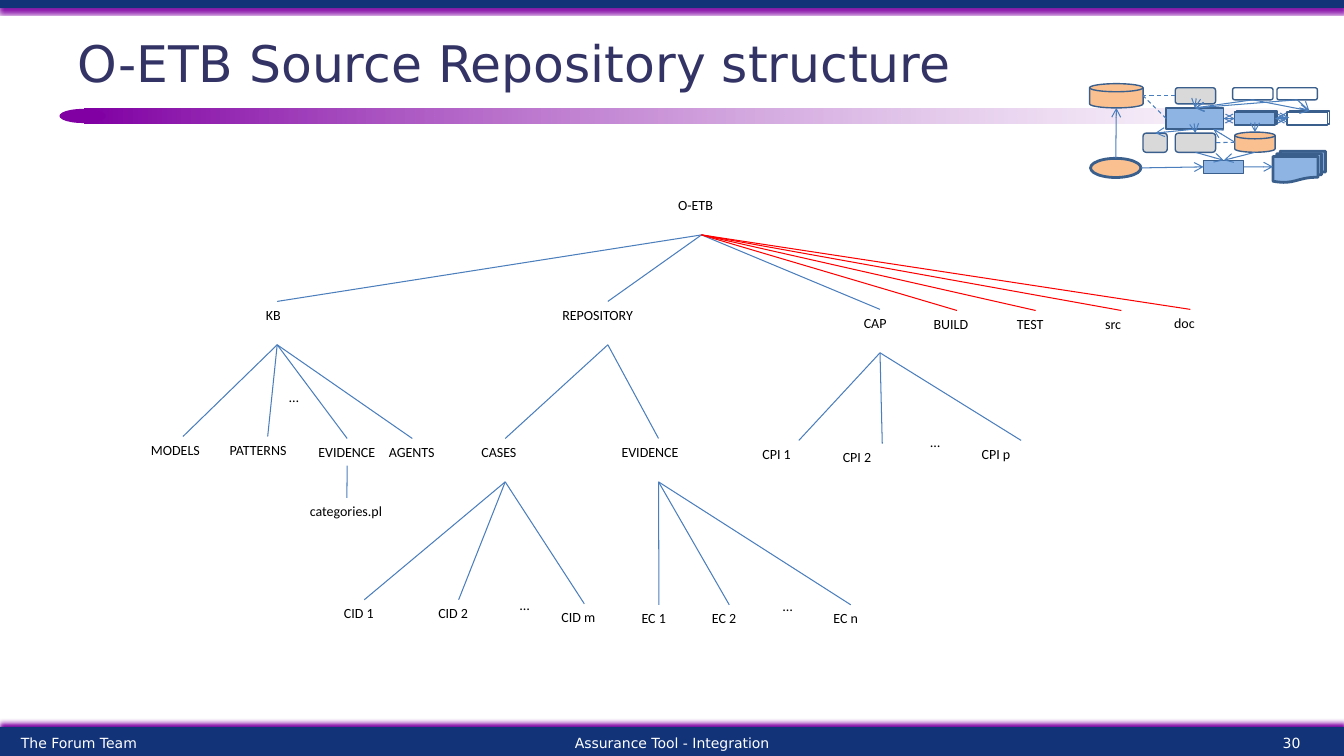
from dataclasses import dataclass

from lxml import etree
from pptx import Presentation
from pptx.dml.color import RGBColor
from pptx.enum.dml import MSO_LINE
from pptx.enum.shapes import MSO_CONNECTOR, MSO_SHAPE
from pptx.enum.text import MSO_ANCHOR, PP_ALIGN
from pptx.oxml.ns import qn
from pptx.util import Pt

RECT, ROUND, OVAL = MSO_SHAPE.RECTANGLE, MSO_SHAPE.ROUNDED_RECTANGLE, MSO_SHAPE.OVAL
PROCESS, DISK = MSO_SHAPE.FLOWCHART_PROCESS, MSO_SHAPE.FLOWCHART_MAGNETIC_DISK
DOCS = MSO_SHAPE.FLOWCHART_MULTIDOCUMENT
LEFT, CENTER, RIGHT = PP_ALIGN.LEFT, PP_ALIGN.CENTER, PP_ALIGN.RIGHT
TOP, MIDDLE = MSO_ANCHOR.TOP, MSO_ANCHOR.MIDDLE
STRAIGHT, DASH = MSO_CONNECTOR.STRAIGHT, MSO_LINE.DASH


@dataclass(frozen=True)
class Theme:
    navy: str = "123378"
    purple: str = "8100A4"
    title: str = "333366"
    white: str = "FFFFFF"
    black: str = "000000"
    line: str = "4B7EBC"
    outline: str = "3A5F8C"
    red: str = "FF0000"
    blue: str = "8EB4E3"
    orange: str = "FAC090"
    grey: str = "D9D9D9"
    heading_font: str = "DejaVu Sans"
    tree_font: str = "Calibri"
    title_size: int = 36
    small_size: int = 10
    line_width: float = 0.75


T = Theme()


def rgb(value):
    return RGBColor.from_string(value)


def add_shape(s, kind, box, fill=None, outline=None, width=1):
    sp = s.shapes.add_shape(kind, *map(Pt, box))
    sp.shadow.inherit = False
    if fill:
        sp.fill.solid()
        sp.fill.fore_color.rgb = rgb(fill)
    else:
        sp.fill.background()
    if outline:
        sp.line.color.rgb = rgb(outline)
        sp.line.width = Pt(width)
    else:
        sp.line.fill.background()
    return sp


def add_text(s, text, box, font, size, color, align=LEFT, anchor=MIDDLE, right=7.2):
    tf = s.shapes.add_textbox(*map(Pt, box)).text_frame
    tf.word_wrap = True
    tf.vertical_anchor = anchor
    tf.margin_right = Pt(right)
    p = tf.paragraphs[0]
    p.text = text
    p.alignment = align
    p.font.name, p.font.size, p.font.color.rgb = font, Pt(size), rgb(color)


def add_line(s, start, end, color=T.line, heads=(), dash=False):
    c = s.shapes.add_connector(STRAIGHT, *map(Pt, (*start, *end)))
    c.line.color.rgb = rgb(color)
    c.line.width = Pt(T.line_width)
    if dash:
        c.line.dash_style = DASH
    ln = c.line._get_or_add_ln()
    for head in heads:
        etree.SubElement(ln, qn(f"a:{head}"), type="arrow")
    etree.SubElement(c._element.spPr, qn("a:effectLst"))


def add_glow(sp, blur, distance, degrees):
    effects = sp._element.spPr.find(qn("a:effectLst"))
    shadow = etree.SubElement(effects, qn("a:outerShdw"), blurRad=str(Pt(blur)),
                              dist=str(Pt(distance)), dir=str(degrees * 60000))
    etree.SubElement(shadow, qn("a:srgbClr"), val=T.purple)


def header(s, x, y, w, h):
    # Top band and title
    add_glow(add_shape(s, RECT, (x, y, w, 5.8), T.navy), 3, 2, 90)
    add_text(s, "O-ETB Source Repository structure", (x + 48, y + 10.8, 816, 67.7),
             T.heading_font, T.title_size, T.title)
    # Fading rule with a rounded start
    rule_top = y + h - 10.1
    rule = add_shape(s, ROUND, (x + 60.5, rule_top, 888.5, 10.1), T.purple)
    rule.adjustments[0] = 0.02
    rule.fill.gradient()
    rule.fill.gradient_angle = 0
    for stop, color in zip(rule.fill.gradient_stops, (T.purple, T.white)):
        stop.color.rgb = rgb(color)
    end_color = rule._element.spPr.findall(".//" + qn("a:gs"))[-1][0]
    etree.SubElement(end_color, qn("a:alpha"), val="50000")
    add_shape(s, OVAL, (x + 42.5, rule_top, 33.1, 10.1), T.purple)


def footer(s, x, y, w, h):
    add_glow(add_shape(s, RECT, (x, y, w, h), T.navy), 3, 3, 270)
    for text, left, width, align in (("The Forum Team", 7.9, 224, LEFT),
                                     ("Assurance Tool - Integration", 240, 480, CENTER),
                                     ("30", 823.7, 112.3, RIGHT)):
        add_text(s, text, (x + left, y + 2.2, width, 18.7),
                 T.heading_font, T.small_size, T.white, align)


def overview(s, x, y):
    # Miniature architecture: name -> kind, left, top, width, height, fill, line width
    parts = {
        "store": (DISK, 0, 0, 38.2, 17.3, T.orange, 1),
        "cases": (DISK, 103.7, 34.6, 28.8, 14.4, T.orange, 1),
        "core": (PROCESS, 54.7, 17.3, 41, 15.1, T.blue, 1),
        "lower": (ROUND, 61.2, 35.3, 28.8, 13.7, T.grey, 1),
        "upper": (ROUND, 61.2, 2.9, 28.8, 11.5, T.grey, 1),
        "client1": (ROUND, 102.2, 2.9, 28.8, 8.6, None, 1),
        "client2": (ROUND, 133.9, 2.9, 28.8, 8.6, None, 1),
        "mid_back": (RECT, 105.1, 19.4, 28.8, 9.4, T.blue, 1),
        "mid": (PROCESS, 103.7, 20.2, 28.8, 9.4, T.blue, 1),
        "end_back": (RECT, 142.6, 19.4, 28.8, 9.4, None, 1),
        "end": (PROCESS, 141.1, 20.2, 28.8, 9.4, T.white, 1),
        "side": (ROUND, 38.2, 35.3, 17.3, 13.7, T.grey, 1),
        "out": (RECT, 81.4, 54.7, 28.8, 9.4, T.blue, 1),
        "docs": (DOCS, 131, 48.2, 37.4, 22.3, T.blue, 2),
        "user": (OVAL, 0.7, 53.3, 36, 13.7, T.orange, 2),
    }
    for kind, left, top, w, h, fill, width in parts.values():
        add_shape(s, kind, (x + left, y + top, w, h), fill, T.outline, width)

    sides = {"l": (0, 0.5), "r": (1, 0.5), "t": (0.5, 0), "b": (0.5, 1), "b+": (0.82, 1)}

    def site(place):
        name, side = place.split(".")
        left, top, w, h = parts[name][1:5]
        fx, fy = sides[side]
        return x + left + fx * w, y + top + fy * h

    # Links between sides of the parts
    one_way = ("upper.b core.t", "core.b lower.t", "mid.b cases.t", "core.b side.t",
               "client1.b end_back.t", "client2.b end_back.t", "client1.b core.t",
               "client2.b core.t", "out.r docs.l", "lower.b out.t", "cases.b out.t",
               "user.t store.b", "user.r out.l", "cases.l core.b+")
    two_way = ("mid_back.r end_back.l", "core.r mid.l", "mid.r end.l")
    dashed = ("upper.l store.r", "cases.l lower.r", "core.l store.r")
    for links, heads in ((one_way, ("tailEnd",)), (two_way, ("headEnd", "tailEnd")),
                         (dashed, ())):
        for link in links:
            start, end = map(site, link.split())
            add_line(s, start, end, heads=heads, dash=not heads)


# Tree node: label, centre, top, width, children
KB = ("KB", 98, 79.3, 30.2, [
    ("MODELS", 30.7, 175.8, 59.8, []),
    ("PATTERNS", 91.2, 175.8, 68.4, []),
    ("…", 113.8, 138.3, 28.8, []),
    ("EVIDENCE", 148, 177.2, 55.4, [("categories.pl", 147.8, 219.7, 67, [])]),
    ("AGENTS", 194.5, 177.2, 47.5, [])])
REPOSITORY = ("REPOSITORY", 334.2, 79.3, 79.2, [
    ("CASES", 260.9, 177.2, 48.2, [
        ("CID 1", 160.2, 292.4, 43.2, []),
        ("CID 2", 227.6, 292.4, 43.2, []),
        ("…", 278.7, 286.6, 28.8, []),
        ("CID m", 317.4, 295.3, 46.8, [])]),
    ("EVIDENCE", 370.4, 177.2, 67, [
        ("EC 1", 370.7, 296, 38.9, []),
        ("EC 2", 420.9, 296, 38.9, []),
        ("…", 466.6, 287.4, 28.8, []),
        ("EC n", 507.7, 296, 38.9, [])])])
CAP = ("CAP", 528.6, 85, 37.4, [
    ("CPI 1", 470.6, 178.6, 66.2, []),
    ("CPI 2", 530.2, 180.8, 70.6, []),
    ("…", 576.1, 170, 37.4, []),
    ("CPI p", 629.4, 178.6, 70.6, [])])
ROOT = ("O-ETB", 401.1, 0.8, 47.5, [
    KB, REPOSITORY, CAP,
    ("BUILD", 583.6, 85.8, 47.5, []),
    ("TEST", 639.8, 85.8, 41, []),
    ("src", 701, 85.8, 37.4, []),
    ("doc", 750.3, 85, 37.4, [])])
RED_NODES = {"BUILD", "TEST", "src", "doc"}
SHORT_NODES = {"categories.pl", "AGENTS"}


def tree(s, x, y, node):
    label, center, top, w, children = node
    single = label in SHORT_NODES or any(c[0] in SHORT_NODES for c in children)
    h = 19.4 if single and label != "KB" else 31
    add_text(s, label, (x + center - w / 2, y + top, w, h), T.tree_font,
             T.small_size, T.black, anchor=TOP, right=0)
    for child in children:
        if child[0] != "…":
            add_line(s, (x + center, y + top + h), (x + child[1], y + child[2]),
                     T.red if child[0] in RED_NODES else T.line)
        tree(s, x, y, child)


def main():
    prs = Presentation()
    prs.slide_width, prs.slide_height = Pt(960), Pt(540)
    s = prs.slides.add_slide(prs.slide_layouts[6])
    header(s, 0, 0, 960, 87.9)
    footer(s, 0, 519.1, 960, 22.3)
    overview(s, 778.3, 59.8)
    tree(s, 100, 136, ROOT)
    prs.save("out.pptx")


if __name__ == "__main__":
    main()
